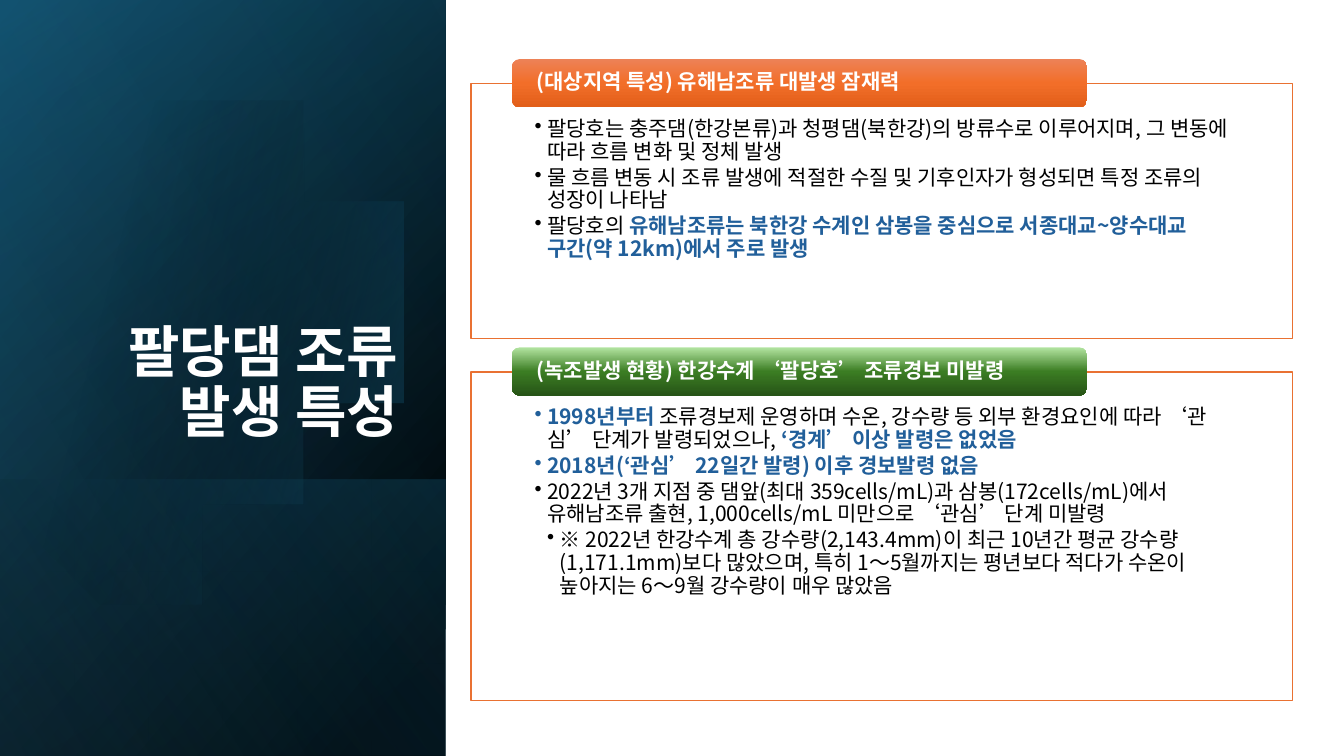
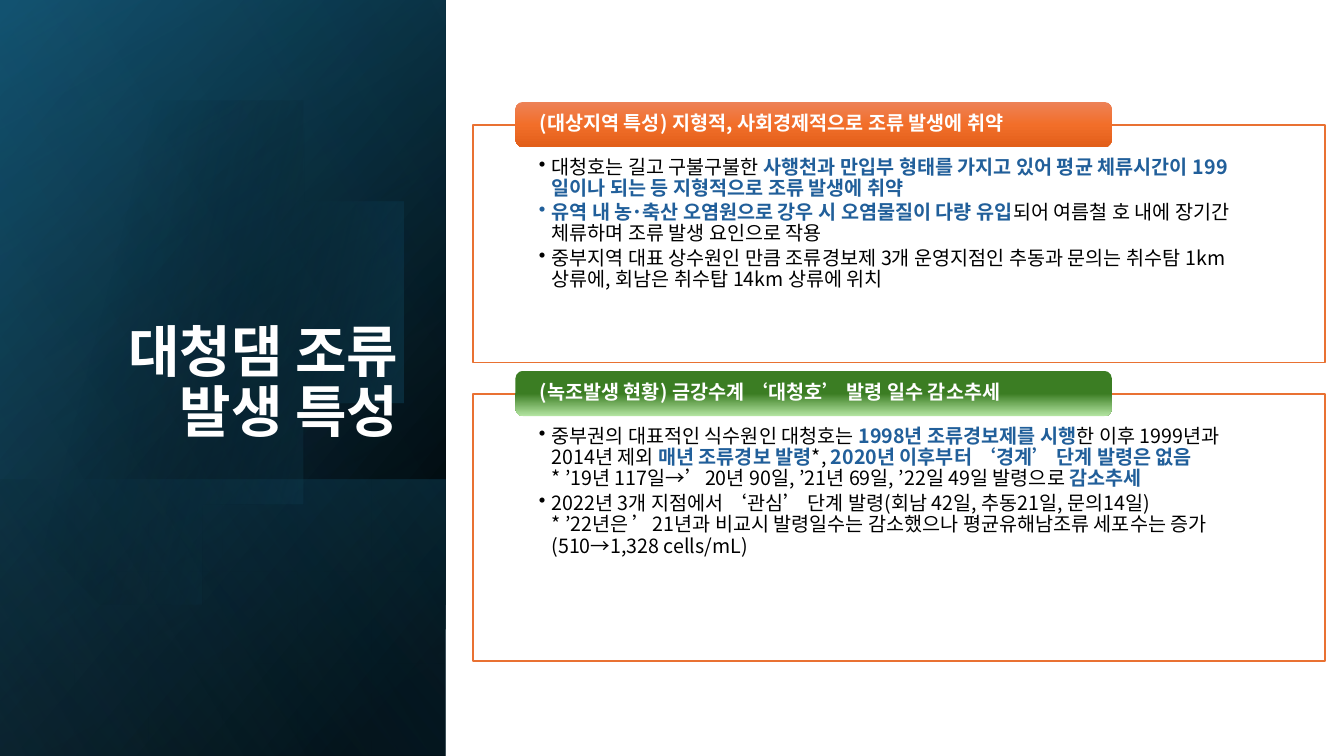
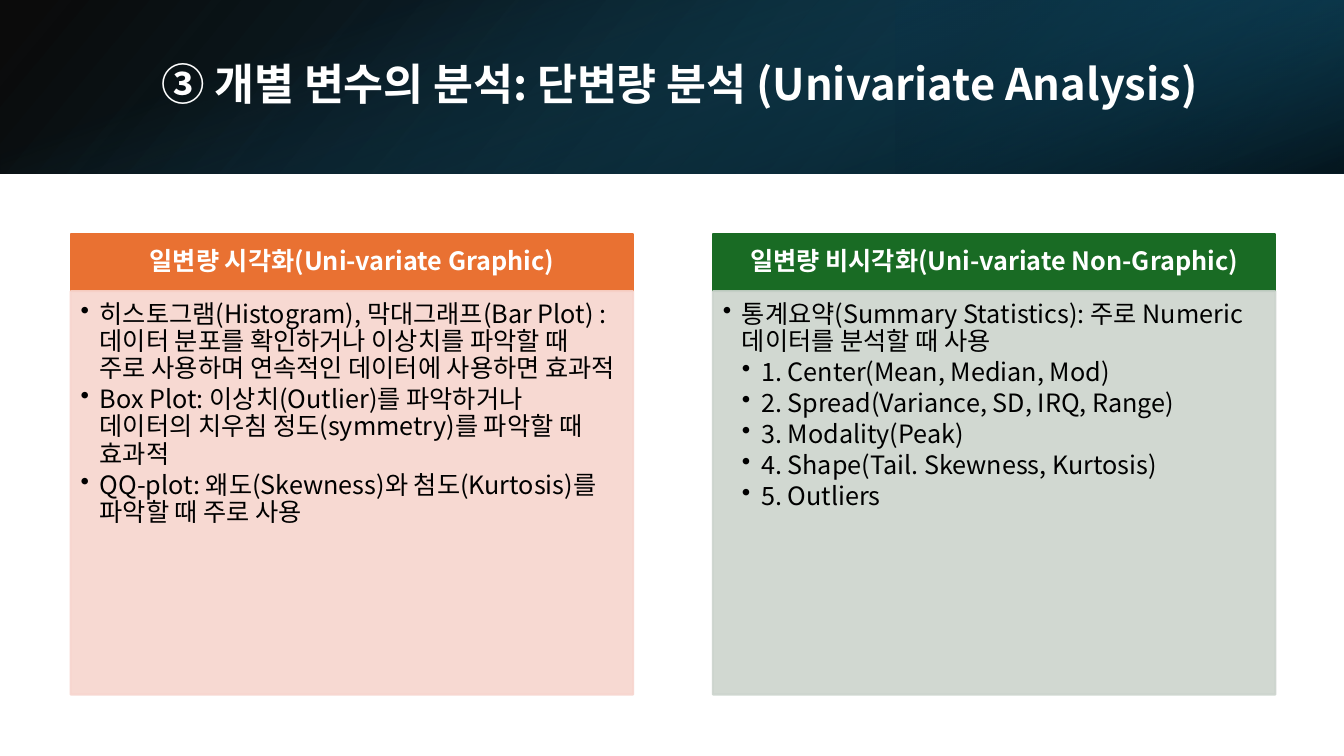
from math import cos, pi, sin

from lxml import etree
from pptx import Presentation, util as u
from pptx.dml.color import RGBColor
from pptx.enum import shapes as kinds, text as t
from pptx.oxml.ns import qn

WIDTH, HEIGHT = 13.33, 7.5
FONT = "Noto Sans CJK KR"
WHITE, BLACK, BLUE = "FFFFFF", "000000", "215F9A"
ORANGE, GREEN = "E97132", "196B24"
RECT, ROUND = kinds.MSO_SHAPE.RECTANGLE, kinds.MSO_SHAPE.ROUNDED_RECTANGLE
LEFT, CENTER, RIGHT = t.PP_ALIGN.LEFT, t.PP_ALIGN.CENTER, t.PP_ALIGN.RIGHT
TOP, MIDDLE, BOTTOM = t.MSO_ANCHOR.TOP, t.MSO_ANCHOR.MIDDLE, t.MSO_ANCHOR.BOTTOM

# Gradient: angle, then stops of position, colour, opacity (percent)
ORANGE_TAB = (90, [(0, "ED8257", 100), (50, "F26E29", 100), (100, "E25F1A", 100)])
GREEN_TAB = (90, [(0, "B4E5A2", 100), (50, "3B7D23", 100), (100, "275417", 100)])
GREEN_TAB_LIGHT_BELOW = (90, [(0, "3B7D23", 100), (50, "3B7D23", 100), (100, "B4E5A2", 100)])

# Layers: visible frame, rotation, flipped, gradient
SIDE_WIDTH = 4.42
SIDE = (0, 0, SIDE_WIDTH, HEIGHT)
SIDE_LAYERS = [
    (SIDE, 90, True, (50, [(8, BLACK, 100), (100, "104862", 100)])),
    (SIDE, 90, True, (30, [(0, BLACK, 0), (99, "156082", 46)])),
    ((0, 4.76, SIDE_WIDTH, 2.74), 90, True, (130, [(2, "156082", 29), (100, BLACK, 30)])),
]
SIDE_GLOW = (SIDE, 90, True, (120, [(0, BLACK, 0), (99, "46B1E1", 11)]))
DISC_GRADIENT = (14, [(29, BLACK, 0), (100, "156082", 43)])

BAND_HEIGHT = 1.72
BAND = (0, 0, WIDTH, BAND_HEIGHT)
BAND_LAYERS = [
    (BAND, 0, True, (140, [(0, BLACK, 96), (100, "104862", 100)])),
    ((WIDTH * 2 / 3, 0, WIDTH / 3, BAND_HEIGHT), 180, True,
     (320, [(19, "0B3041", 68), (100, "156082", 79)])),
    (BAND, 90, False, (340, [(23, "156082", 0), (99, BLACK, 74)])),
]

# Paragraphs: level, then pieces that alternate between plain and emphasised
DAM_SLIDES = [
    {
        "title": "팔당댐 조류 발생 특성", "size": 15, "left": 4.67, "top": 0.83, "width": 8.15,
        "cards": [
            ("(대상지역 특성) 유해남조류 대발생 잠재력", ORANGE_TAB, 2.53, [
                (1, ["팔당호는 충주댐(한강본류)과 청평댐(북한강)의 방류수로 이루어지며, "
                     "그 변동에 따라 흐름 변화 및 정체 발생"]),
                (1, ["물 흐름 변동 시 조류 발생에 적절한 수질 및 기후인자가 형성되면 "
                     "특정 조류의 성장이 나타남"]),
                (1, ["팔당호의 ", "유해남조류는 북한강 수계인 삼봉을 중심으로 "
                     "서종대교~양수대교 구간(약 12km)에서 주로 발생"]),
            ]),
            ("(녹조발생 현황) 한강수계 ‘팔당호’ 조류경보 미발령", GREEN_TAB, 3.26, [
                (1, ["", "1998년부터",
                     " 조류경보제 운영하며 수온, 강수량 등 외부 환경요인에 따라 "
                     "‘관심’ 단계가 발령되었으나, ", "‘경계’ 이상 발령은 없었음"]),
                (1, ["", "2018년(‘관심’ 22일간 발령) 이후 경보발령 없음"]),
                (1, ["2022년 3개 지점 중 댐앞(최대 359cells/mL)과 삼봉(172cells/mL)에서 "
                     "유해남조류 출현, 1,000cells/mL 미만으로 ‘관심’ 단계 미발령"]),
                (2, ["※ 2022년 한강수계 총 강수량(2,143.4mm)이 최근 10년간 평균 "
                     "강수량(1,171.1mm)보다 많았으며, 특히 1～5월까지는 평년보다 적다가 "
                     "수온이 높아지는 6～9월 강수량이 매우 많았음"]),
            ]),
        ],
    },
    {
        "title": "대청댐 조류 발생 특성", "size": 14, "left": 4.69, "top": 1.24, "width": 8.45,
        "cards": [
            ("(대상지역 특성) 지형적, 사회경제적으로 조류 발생에 취약", ORANGE_TAB, 2.36, [
                (1, ["대청호는 길고 구불구불한 ", "사행천과 만입부 형태를 가지고 있어 "
                     "평균 체류시간이 199일이나 되는 등 지형적으로 조류 발생에 취약"]),
                (1, ["", "유역 내 농･축산 오염원으로 강우 시 오염물질이 다량 유입",
                     "되어 여름철 호 내에 장기간 체류하며 조류 발생 요인으로 작용"]),
                (1, ["중부지역 대표 상수원인 만큼 조류경보제 3개 운영지점인 추동과 문의는 "
                     "취수탐 1km 상류에, 회남은 취수탑 14km 상류에 위치"]),
            ]),
            ("(녹조발생 현황) 금강수계 ‘대청호’ 발령 일수 감소추세", GREEN_TAB_LIGHT_BELOW, 2.65, [
                (1, ["중부권의 대표적인 식수원인 대청호는 ", "1998년 조류경보제를 시행",
                     "한 이후 1999년과 2014년 제외 ", "매년 조류경보 발령", "*, ",
                     "2020년 이후부터 ‘경계’ 단계 발령은 없음\n",
                     "* ’19년 117일→’20년 90일, ’21년 69일, ’22일 49일 발령으로 ",
                     "감소추세"]),
                (1, ["2022년 3개 지점에서 ‘관심’ 단계 발령(회남 42일, 추동21일, 문의14일)\n"
                     "* ’22년은 ’21년과 비교시 발령일수는 감소했으나 평균유해남조류 "
                     "세포수는 증가(510→1,328 cells/mL)"]),
            ]),
        ],
    },
]

ANALYSIS_TITLE = "③ 개별 변수의 분석: 단변량 분석 (Univariate Analysis)"
ANALYSIS_COLUMNS = [
    ("일변량 시각화(Uni-variate Graphic)", ORANGE, "F7D5CE", [
        (1, ["히스토그램(Histogram), 막대그래프(Bar Plot) : 데이터 분포를 확인하거나 "
             "이상치를 파악할 때 주로 사용하며 연속적인 데이터에 사용하면 효과적"]),
        (1, ["Box Plot: 이상치(Outlier)를 파악하거나 데이터의 치우침 정도(symmetry)를 "
             "파악할 때 효과적"]),
        (1, ["QQ-plot: 왜도(Skewness)와 첨도(Kurtosis)를 파악할 때 주로 사용"]),
    ]),
    ("일변량 비시각화(Uni-variate Non-Graphic)", GREEN, "CCD4CD", [
        (1, ["통계요약(Summary Statistics): 주로 Numeric 데이터를 분석할 때 사용"]),
        (2, ["1. Center(Mean, Median, Mod)"]),
        (2, ["2. Spread(Variance, SD, IRQ, Range)"]),
        (2, ["3. Modality(Peak)"]),
        (2, ["4. Shape(Tail. Skewness, Kurtosis)"]),
        (2, ["5. Outliers"]),
    ]),
]


def rgb(color):
    return RGBColor.from_string(color)


def add_child(parent, tag, **attributes):
    child = etree.SubElement(parent, qn(tag))
    for name, value in attributes.items():
        child.set(name, str(value))
    return child


def set_gradient(shape, gradient):
    angle, stops = gradient
    shape.fill.gradient()
    fill = shape.element.spPr.find(qn("a:gradFill"))
    for child in list(fill):
        fill.remove(child)
    stop_list = add_child(fill, "a:gsLst")
    for position, color, opacity in stops:
        stop = add_child(stop_list, "a:gs", pos=position * 1000)
        add_child(add_child(stop, "a:srgbClr", val=color), "a:alpha", val=opacity * 1000)
    add_child(fill, "a:lin", ang=angle * 60000, scaled=0)


def add_box(slide, frame, kind=RECT, fill=None, gradient=None, line=None, opacity=100):
    """Add a preset shape without shadow; line is (colour, points)."""
    shape = slide.shapes.add_shape(kind, *map(u.Inches, frame))
    shape.shadow.inherit = False
    if gradient:
        set_gradient(shape, gradient)
    else:
        shape.fill.solid()
        shape.fill.fore_color.rgb = rgb(fill)
    if line:
        shape.line.color.rgb = rgb(line[0])
        shape.line.width = u.Pt(line[1])
    else:
        shape.line.fill.background()
    if opacity < 100:
        for color in shape.element.spPr.iter(qn("a:srgbClr")):
            add_child(color, "a:alpha", val=opacity * 1000)
    return shape


def add_layer(slide, frame, rotation, flipped, gradient):
    left, top, width, height = frame
    if rotation == 90:
        left, top = left + (width - height) / 2, top + (height - width) / 2
        width, height = height, width
    shape = add_box(slide, (left, top, width, height), gradient=gradient)
    shape.rotation = rotation
    if flipped:
        shape.element.spPr.find(qn("a:xfrm")).set("flipH", "1")


def add_disc(slide):
    """Add the faint circle that is cut off at the slide's left edge."""
    center_x, center_y, radius, cut, steps = 1.42, 3.39, 2.29, -0.15, 120
    angles = [2 * pi * step / steps for step in range(steps)]
    points = [(max(cut, center_x + radius * cos(a)), center_y + radius * sin(a)) for a in angles]
    builder = slide.shapes.build_freeform(*points[0], scale=u.Inches(1))
    builder.add_line_segments(points[1:], close=True)
    disc = builder.convert_to_shape()
    disc.shadow.inherit = False
    disc.line.fill.background()
    set_gradient(disc, DISC_GRADIENT)


def add_run(paragraph, text, size, color, bold):
    run = paragraph.add_run()
    run.text = text
    font = run.font
    font.name, font.size, font.bold = FONT, u.Pt(size), bold
    font.color.rgb = rgb(color)
    add_child(run.font._element, "a:ea", typeface=FONT)


def prepare_frame(shape, anchor, insets):
    frame = shape.text_frame
    frame.word_wrap = True
    frame.vertical_anchor = anchor
    (frame.margin_left, frame.margin_top,
     frame.margin_right, frame.margin_bottom) = map(u.Inches, insets)
    return frame


def format_paragraph(paragraph, align, after=0, indent=0, level=0):
    """Set spacing (after is a percentage) and, where there is a level, a bullet."""
    properties = paragraph._p.get_or_add_pPr()
    if after:
        add_child(add_child(properties, "a:spcAft"), "a:spcPct", val=after * 1000)
    if level:
        properties.set("marL", str(u.Inches(indent * level)))
        properties.set("indent", str(-u.Inches(indent)))
        add_child(properties, "a:buChar", char="•")
    paragraph.alignment = align
    paragraph.line_spacing = 0.9


def write_heading(shape, text, size, align=LEFT, anchor=MIDDLE,
                  insets=(0.1, 0.05, 0.1, 0.05), after=0):
    paragraph = prepare_frame(shape, anchor, insets).paragraphs[0]
    format_paragraph(paragraph, align, after)
    add_run(paragraph, text, size, WHITE, True)


def write_bullets(shape, paragraphs, size, insets, indent):
    frame = prepare_frame(shape, TOP, insets)
    for index, (level, pieces) in enumerate(paragraphs):
        paragraph = frame.add_paragraph() if index else frame.paragraphs[0]
        format_paragraph(paragraph, LEFT, 15, indent, level)
        for order, piece in enumerate(pieces):
            emphasised = order % 2 == 1
            for number, line in enumerate(piece.split("\n")):
                if number:
                    paragraph.add_line_break()
                if line:
                    add_run(paragraph, line, size, BLUE if emphasised else BLACK, emphasised)


def add_title(slide, frame, text, size, align, anchor):
    write_heading(slide.shapes.add_textbox(*map(u.Inches, frame)), text, size, align, anchor)


def add_dam_slide(slide, content):
    for layer in SIDE_LAYERS:
        add_layer(slide, *layer)
    add_disc(slide)
    add_layer(slide, *SIDE_GLOW)
    add_title(slide, (0.64, 1.84, 3.41, 2.62), content["title"], 40, RIGHT, BOTTOM)

    size, left, top, width = (content[key] for key in ("size", "left", "top", "width"))
    side, tab_height = 0.0775 * width, 0.032 * size
    for heading, gradient, height, paragraphs in content["cards"]:
        card = add_box(slide, (left, top, width, height), fill=WHITE, line=(ORANGE, 1))
        write_bullets(card, paragraphs, size, (side, 0.023 * size, side, 0.008 * size), 0.125)
        tab_frame = (left + 0.05 * width, top - 0.51 * tab_height, 0.7 * width, tab_height)
        tab = add_box(slide, tab_frame, ROUND, gradient=gradient)
        write_heading(tab, heading, size, insets=(0.22, 0, 0.22, 0), after=35)
        top += height + 0.022 * size


def add_analysis_slide(slide):
    for layer in BAND_LAYERS:
        add_layer(slide, *layer)
    add_title(slide, (1.5, 0.38, 10.98, 0.96), ANALYSIS_TITLE, 31, LEFT, MIDDLE)

    first_left, top, width, gap, head_height, body_height = 0.7, 2.32, 5.58, 0.79, 0.57, 4
    for index, (heading, color, tint, paragraphs) in enumerate(ANALYSIS_COLUMNS):
        left = first_left + index * (width + gap)
        head = add_box(slide, (left, top, width, head_height), fill=color, line=(color, 1.5))
        write_heading(head, heading, 18, CENTER, insets=(0.14, 0.08, 0.14, 0.08), after=35)
        body = add_box(slide, (left, top + head_height, width, body_height),
                       fill=tint, line=(tint, 1.5), opacity=90)
        write_bullets(body, paragraphs, 18, (0.1, 0.1, 0.14, 0.16), 0.19)


def main():
    presentation = Presentation()
    presentation.slide_width, presentation.slide_height = u.Inches(WIDTH), u.Inches(HEIGHT)
    blank = presentation.slide_layouts[6]
    for content in DAM_SLIDES:
        add_dam_slide(presentation.slides.add_slide(blank), content)
    add_analysis_slide(presentation.slides.add_slide(blank))
    presentation.save("out.pptx")


if __name__ == "__main__":
    main()
